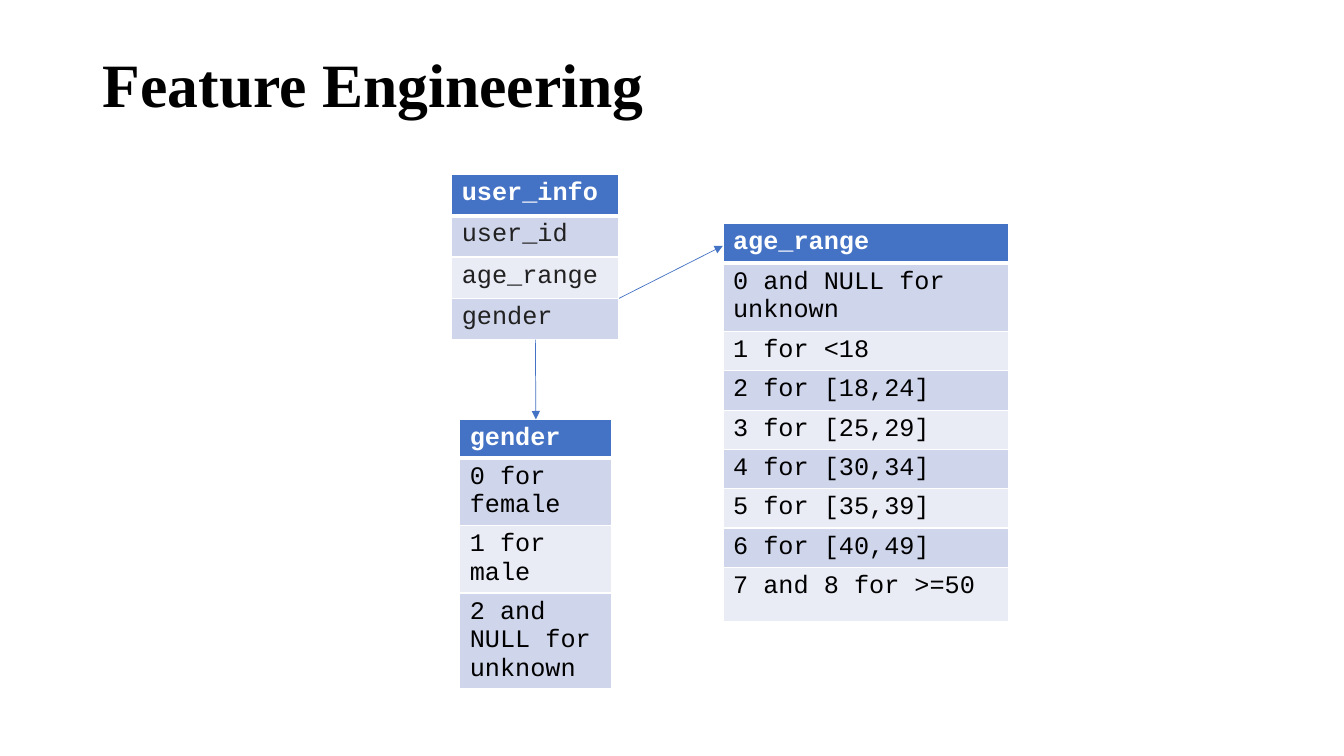
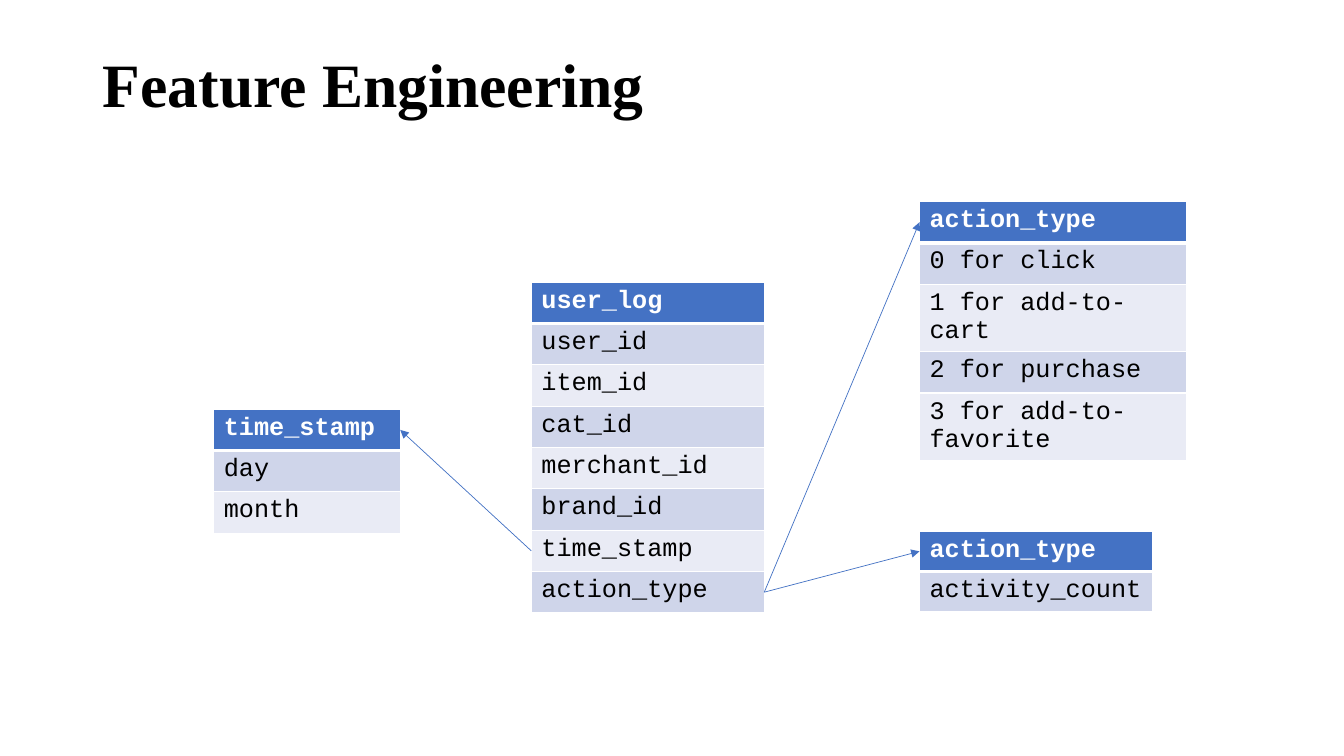
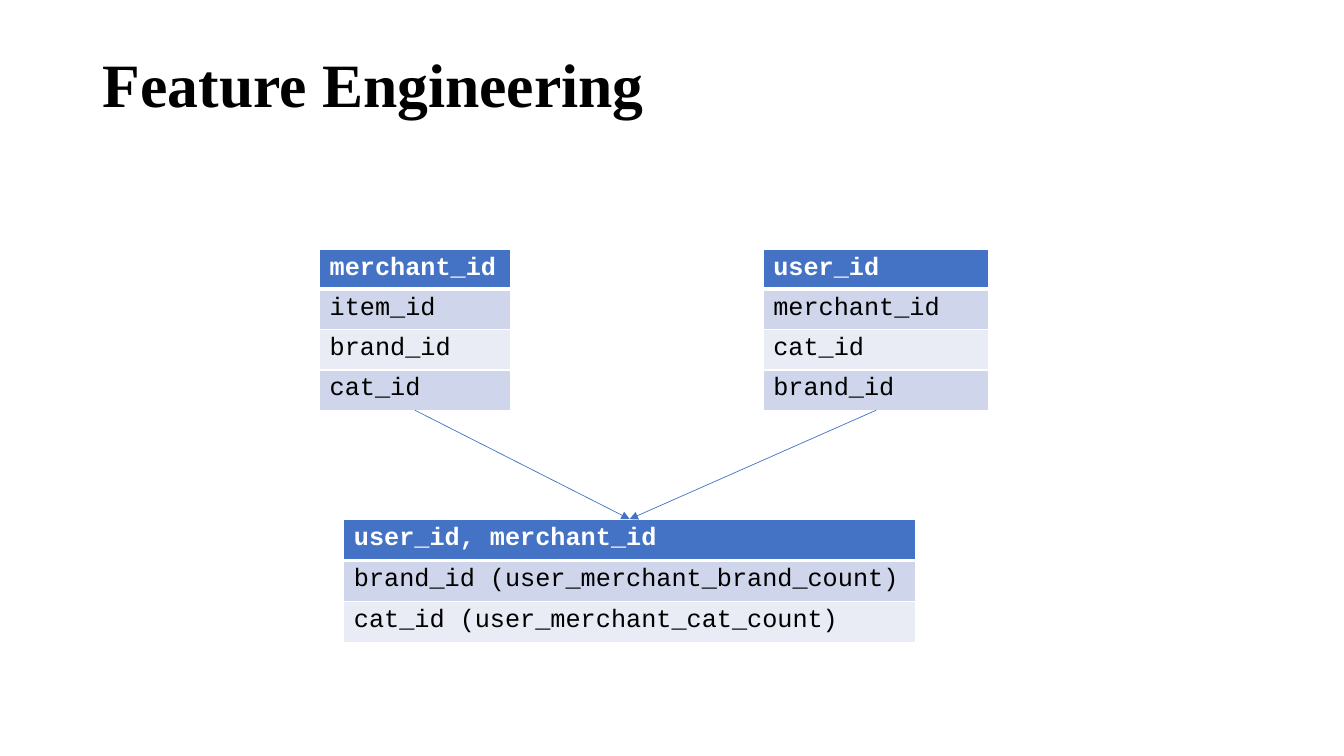
from lxml import etree
from pptx import Presentation
from pptx.dml.color import RGBColor
from pptx.enum.shapes import MSO_CONNECTOR as Line
from pptx.enum.text import MSO_ANCHOR as Anchor, PP_ALIGN as Align
from pptx.oxml.ns import qn
from pptx.util import Inches, Pt

BLUE, WHITE, BLACK, GREY = "4472C4", "FFFFFF", "000000", "212121"
BANDS = ["CFD5EA", "E9EBF5"]
HEAD = {"name": "Times New Roman", "size": Pt(44), "bold": True}
CODE = {"name": "Courier New", "size": Pt(18)}


def paint(color, code):
    """Set a colour format from a hex string."""
    color.rgb = RGBColor.from_string(code)


def style(font, look, code):
    """Apply a dict of font values and a colour."""
    for key, value in look.items():
        setattr(font, key, value)
    paint(font.color, code)


def page(deck):
    """Add a slide with the shared title."""
    slide = deck.slides.add_slide(deck.slide_layouts[5])
    title = slide.shapes.title
    title.left, title.top = Inches(0.92), Inches(0.35)
    title.width, title.height = Inches(11.5), Inches(1.04)
    frame = title.text_frame
    frame.text = "Feature Engineering"
    frame.vertical_anchor = Anchor.MIDDLE
    para = frame.paragraphs[0]
    para.alignment, para.line_spacing = Align.LEFT, 0.9
    style(para.runs[0].font, HEAD, BLACK)
    return slide


def edge(cell, row):
    """Draw white cell borders, thick below the header."""
    props = cell._tc.get_or_add_tcPr()
    thick = {("lnB", 0), ("lnT", 1)}
    for tag in ("lnL", "lnR", "lnT", "lnB"):
        width = Pt(3 if (tag, row) in thick else 1)
        line = etree.SubElement(props, qn(f"a:{tag}"), w=str(width))
        fill = etree.SubElement(line, qn("a:solidFill"))
        etree.SubElement(fill, qn("a:srgbClr"), val=WHITE)


def grid(slide, left, top, width, words, high=0.41, tall=None, ink=BLACK):
    """Add a one-column table; tall maps a row to its own height."""
    sizes = [(tall or {}).get(row, high) for row in range(len(words))]
    shape = slide.shapes.add_table(len(words), 1, Inches(left), Inches(top),
                                   Inches(width), Inches(sum(sizes)))
    table = shape.table
    for row, (text, size) in enumerate(zip(words, sizes)):
        table.rows[row].height = Inches(size)
        cell = table.cell(row, 0)
        cell.text = text
        edge(cell, row)
        cell.fill.solid()
        paint(cell.fill.fore_color, BANDS[(row - 1) % 2] if row else BLUE)
        font = cell.text_frame.paragraphs[0].runs[0].font
        style(font, {**CODE, "bold": row == 0}, ink if row else WHITE)
    return shape


def spot(shape, across, row):
    """Find a point by share of table width and row count."""
    step = shape.table.rows[0].height
    return int(shape.left + across * shape.width), int(shape.top + row * step)


def arrow(slide, start, end):
    """Link two points with a thin arrow."""
    link = slide.shapes.add_connector(Line.STRAIGHT, *start, *end)
    link.line.width = Pt(0.5)
    link.line.fill.solid()
    paint(link.line.fill.fore_color, BLUE)
    etree.SubElement(link.line._get_or_add_ln(), qn("a:tailEnd"), type="triangle")
    etree.SubElement(link._element.spPr, qn("a:effectLst"))


def info(deck):
    """Build the user info slide."""
    slide = page(deck)
    user = grid(slide, 4.48, 1.73, 1.66,
                ["user_info", "user_id", "age_range", "gender"], ink=GREY)
    spans = ["[18,24]", "[25,29]", "[30,34]", "[35,39]", "[40,49]"]
    ages = ["age_range", "0 and NULL for unknown", "1 for <18",
            *(f"{num} for {span}" for num, span in enumerate(spans, 2)),
            "7 and 8 for >=50"]
    age = grid(slide, 7.17, 2.22, 2.83, ages, 0.39, {1: 0.68, 8: 0.54})
    sex = grid(slide, 4.56, 4.16, 1.51,
               ["gender", "0 for female", "1 for male", "2 and NULL for unknown"],
               0.38, {1: 0.67, 2: 0.67, 3: 0.95})
    arrow(slide, spot(user, 0.5, 4), spot(sex, 0.5, 0))
    arrow(slide, spot(user, 1, 3), spot(age, 0, 0.56))


def log(deck):
    """Build the user log slide."""
    slide = page(deck)
    user = grid(slide, 5.27, 2.8, 2.31,
                ["user_log", "user_id", "item_id", "cat_id", "merchant_id",
                 "brand_id", "time_stamp", "action_type"])
    time = grid(slide, 2.12, 4.06, 1.85, ["time_stamp", "day", "month"])
    kind = grid(slide, 9.12, 2, 2.65,
                ["action_type", "0 for click", "1 for add-to-cart",
                 "2 for purchase", "3 for add-to-favorite"],
                tall={2: 0.67, 4: 0.67})
    count = grid(slide, 9.12, 5.27, 2.31, ["action_type", "activity_count"], 0.4)
    for goal in (kind, count):
        arrow(slide, spot(user, 1, 7.5), spot(goal, 0, 0.5))
    arrow(slide, spot(user, 0, 6.5), spot(time, 1, 0.5))


def pairs(deck):
    """Build the user and merchant slide."""
    slide = page(deck)
    shop = grid(slide, 3.17, 2.47, 1.89,
                ["merchant_id", "item_id", "brand_id", "cat_id"], 0.4)
    user = grid(slide, 7.57, 2.47, 2.24,
                ["user_id", "merchant_id", "cat_id", "brand_id"], 0.4)
    both = grid(slide, 3.41, 5.15, 5.67,
                ["user_id, merchant_id", "brand_id (user_merchant_brand_count)",
                 "cat_id (user_merchant_cat_count)"])
    for part in (shop, user):
        arrow(slide, spot(part, 0.5, 4), spot(both, 0.5, 0))


def main():
    """Build and save the deck."""
    deck = Presentation()
    deck.slide_width, deck.slide_height = Inches(13.33), Inches(7.5)
    for build in (info, log, pairs):
        build(deck)
    deck.save("out.pptx")


if __name__ == "__main__":
    main()
